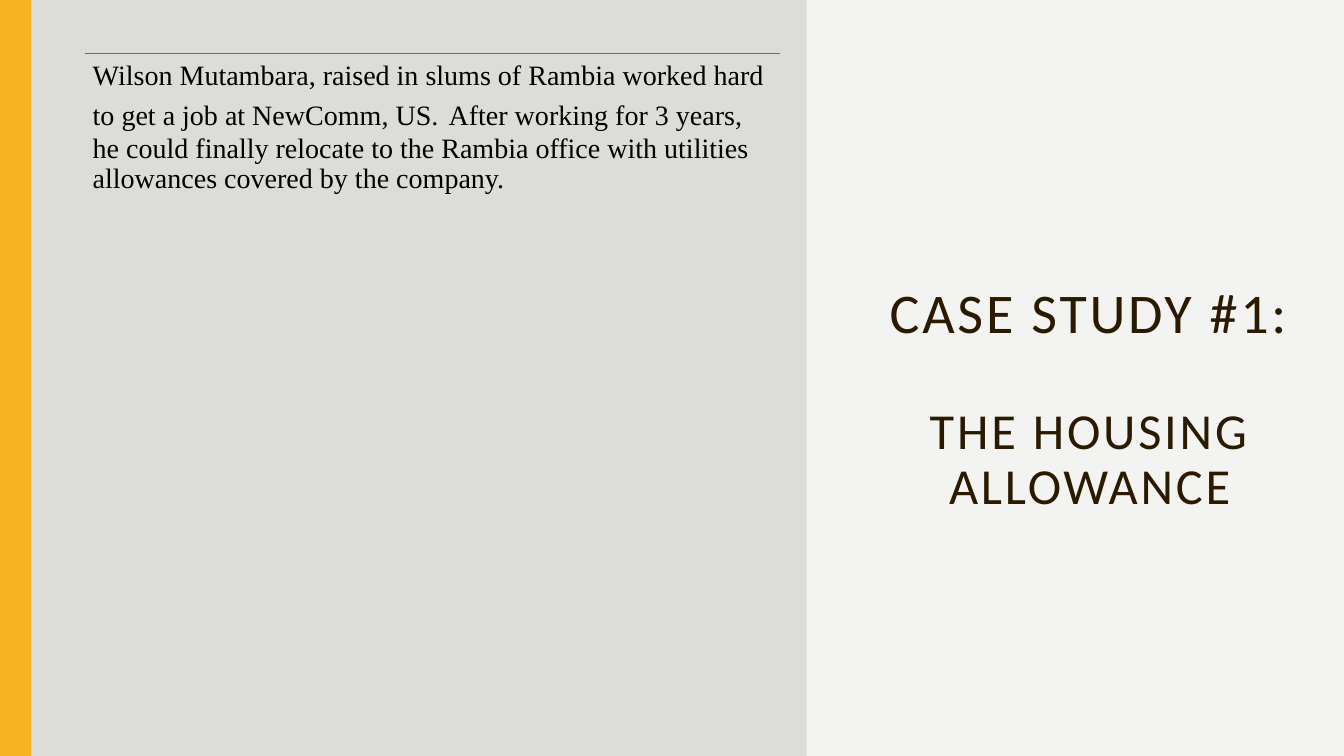
from pptx import Presentation
from pptx.dml.color import RGBColor
from pptx.enum import shapes, text
from pptx.oxml import xmlchemy
from pptx.util import Inches, Pt
from lxml import etree
from pptx.oxml.ns import qn

# Content: (text, size role) for each run; \v breaks a line
HEADING = [("CASE STUDY #1:\v\v", "title"), ("THE HOUSING ALLOWANCE", "subtitle")]
STORY = [
    ("Wilson Mutambara, raised in slums of Rambia worked hard to get a job "
     "at NewComm, US.", "body"),
    (" ", "gap"),
    ("After working for 3 years, he could finally relocate to the Rambia office "
     "with utilities allowances covered by the company.", "body"),
]

THEME = {
    "colors": {"page": "F3F3F2", "panel": "DCDCD9", "accent": "F8B323",
               "title": "2A1A00", "body": "000000", "rule": "826276"},
    "sizes": {"title": 40, "subtitle": 36, "body": 20, "gap": 28},
    "fonts": {"title": "Calibri", "body": "Times New Roman"},
}

# Layout in inches
WIDTH, HEIGHT = 13.33, 7.5
STRIPE_WIDTH = 0.31
WAVE_LEFT, WAVE_DEPTH, WAVE_PERIOD, WAVE_COUNT = 8.08, 0.2, 1.5, 5
HALF_WAVE = [(0, 0), (0, 0.07), (0.01, 0.14), (0.02, 0.2), (0.04, 0.25),
             (0.06, 0.29), (0.08, 0.33)]
STORY_BOX = (0.84, 0.53, 6.9, 6.1)
HEADING_BOX = (8.28, 1.32, 5.06, 5.3)


def color(role):
    return RGBColor.from_string(THEME["colors"][role])


def paint(shape, role):
    shape.shadow.inherit = False
    shape.fill.solid()
    shape.fill.fore_color.rgb = color(role)
    shape.line.fill.background()


def wave_edge():
    """Right edge of the panel: one quarter curve, turned and mirrored."""
    half = WAVE_PERIOD / 2
    middle = [(WAVE_DEPTH / 2, half / 2)]
    outward = HALF_WAVE + middle + [
        (WAVE_DEPTH - x, half - y) for x, y in reversed(HALF_WAVE)]
    inward = [(x, WAVE_PERIOD - y) for x, y in reversed(outward[:-1])]
    return [(WAVE_LEFT + x, n * WAVE_PERIOD + y)
            for n in range(WAVE_COUNT) for x, y in outward + inward]


def add_text(slide, box, runs, style, inset=None):
    frame = slide.shapes.add_textbox(*map(Inches, box)).text_frame
    frame.word_wrap = True
    if inset is not None:
        frame.margin_left = frame.margin_right = Inches(inset)
        frame.margin_top = frame.margin_bottom = Inches(inset)
    paragraph = frame.paragraphs[0]
    paragraph.line_spacing = 0.9
    paragraph.text = runs[0][0]
    for words, _ in runs[1:]:
        paragraph.add_run().text = words
    for run, (_, size) in zip(paragraph.runs, runs):
        run.font.name = THEME["fonts"][style]
        run.font.size = Pt(THEME["sizes"][size])
        run.font.color.rgb = color(style)
    return frame


deck = Presentation()
deck.slide_width, deck.slide_height = Inches(WIDTH), Inches(HEIGHT)
slide = deck.slides.add_slide(deck.slide_layouts[6])
slide.background.fill.solid()
slide.background.fill.fore_color.rgb = color("page")

# Wavy panel and accent stripe
outline = slide.shapes.build_freeform(0, 0, scale=Inches(1))
outline.add_line_segments(wave_edge() + [(0, HEIGHT)], close=True)
paint(outline.convert_to_shape(), "panel")
stripe = slide.shapes.add_shape(shapes.MSO_SHAPE.RECTANGLE, 0, 0,
                                Inches(STRIPE_WIDTH), Inches(HEIGHT))
paint(stripe, "accent")

# Heading, with letter spacing and full-height line breaks
heading = add_text(slide, HEADING_BOX, HEADING, "title")
heading.vertical_anchor = text.MSO_ANCHOR.MIDDLE
heading_line = heading.paragraphs[0]
heading_line.alignment = text.PP_ALIGN.CENTER
for run in heading_line.runs:
    run.font._element.set("spc", "200")
for line_break in heading_line._p.findall(qn("a:br")):
    etree.SubElement(line_break, qn("a:rPr"), sz=str(THEME["sizes"]["title"] * 100))

# Rule above the story
left, top, width, _ = STORY_BOX
rule = slide.shapes.add_connector(shapes.MSO_CONNECTOR.STRAIGHT, Inches(left),
                                  Inches(top), Inches(left + width), Inches(top))
rule.line.color.rgb = color("rule")
rule.line.width = Pt(0.5)
etree.SubElement(rule._element.spPr, qn("a:effectLst"))

# Story
add_text(slide, STORY_BOX, STORY, "body", inset=0.08)

deck.save("out.pptx")
